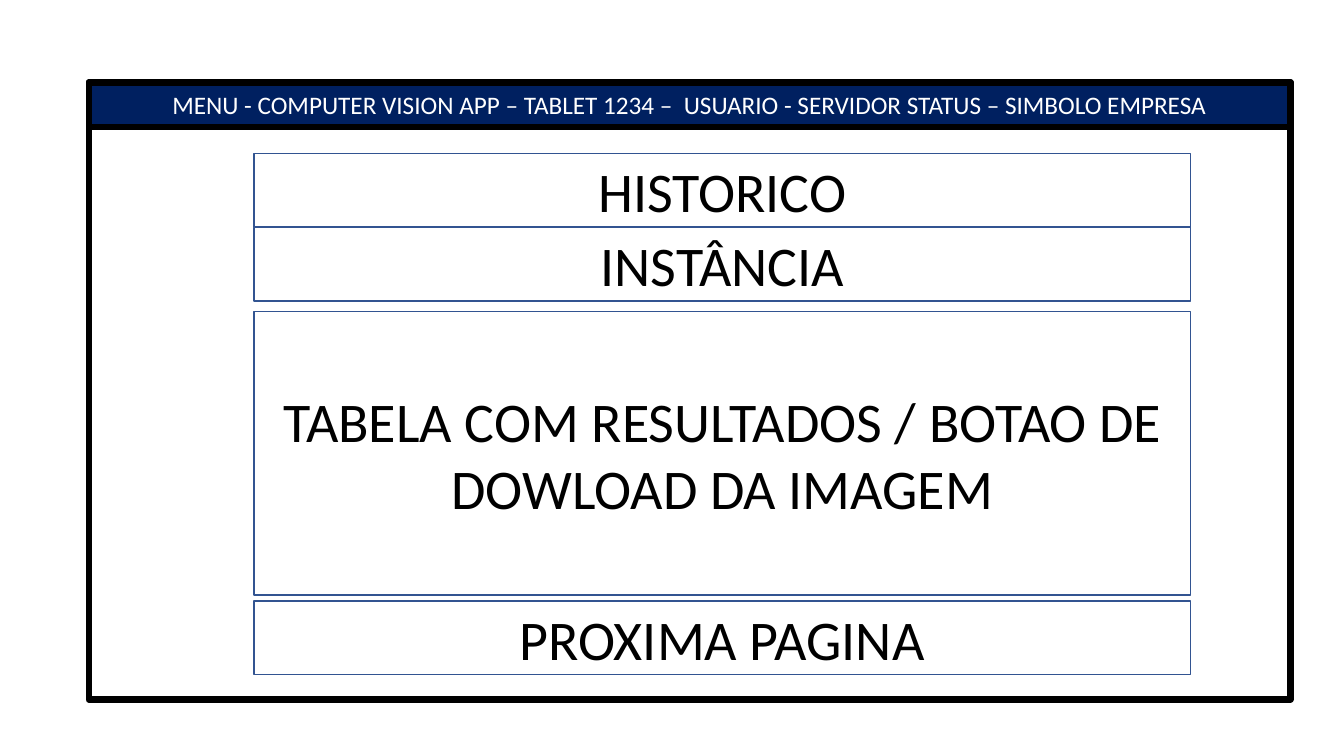
from pptx import Presentation
from pptx.dml.color import RGBColor
from pptx.enum.shapes import MSO_SHAPE as Shape
from pptx.enum.text import MSO_ANCHOR as Anchor, PP_ALIGN as Align
from pptx.util import Inches, Pt


def color(hex_string):
    return RGBColor.from_string(hex_string)


class Wireframe:
    """Style and current slide; lengths are percentages of the slide's size."""
    FONT = "Calibri"
    BLACK, WHITE, NAVY, BLUE = "000000", "FFFFFF", "002060", "325491"

    def __init__(self, presentation):
        self.slide = presentation.slides.add_slide(presentation.slide_layouts[6])
        self.column = presentation.slide_width / 100
        self.row = presentation.slide_height / 100

    def box(self, left, top, width, height, line, weight, fill=None):
        shape = self.slide.shapes.add_shape(
            Shape.RECTANGLE,
            round(left * self.column), round(top * self.row),
            round(width * self.column), round(height * self.row))
        shape.shadow.inherit = False
        shape.line.color.rgb = color(line)
        shape.line.width = Pt(weight)
        if fill:
            shape.fill.solid()
            shape.fill.fore_color.rgb = color(fill)
        else:
            shape.fill.background()
        return shape

    def label(self, shape, text, size, font_color):
        frame = shape.text_frame
        frame.word_wrap = True
        frame.vertical_anchor = Anchor.MIDDLE
        paragraph = frame.paragraphs[0]
        paragraph.text = text
        paragraph.alignment = Align.CENTER
        paragraph.font.name = self.FONT
        paragraph.font.size = Pt(size)
        paragraph.font.color.rgb = color(font_color)

    def frame(self, left, top, width, height, fill=None):
        return self.box(left, top, width, height, self.BLACK, 4.5, fill)

    def menu_bar(self, left, top, width, height, text):
        bar = self.frame(left, top, width, height, self.NAVY)
        self.label(bar, text, 18, self.WHITE)

    def section(self, left, top, width, height, text):
        panel = self.box(left, top, width, height, self.BLUE, 1)
        self.label(panel, text, 40, self.BLACK)


presentation = Presentation()
presentation.slide_width = Inches(13.33)
presentation.slide_height = Inches(7.5)
wireframe = Wireframe(presentation)

# Tablet screen with its menu bar
SCREEN_LEFT, SCREEN_TOP, SCREEN_WIDTH = 6.6, 10.93, 89.42
wireframe.frame(SCREEN_LEFT, SCREEN_TOP, SCREEN_WIDTH, 81.6)
wireframe.menu_bar(
    SCREEN_LEFT, SCREEN_TOP, SCREEN_WIDTH, 5.87,
    "MENU - COMPUTER VISION APP – TABLET 1234 –  USUARIO - "
    "SERVIDOR STATUS – SIMBOLO EMPRESA")

# Stacked page sections: text, height, gap below
SECTION_LEFT, SECTION_WIDTH = 18.9, 69.69
ROW_HEIGHT = 9.75
SECTIONS = [
    ("HISTORICO", ROW_HEIGHT, 0),
    ("INSTÂNCIA", ROW_HEIGHT, 1.4),
    ("TABELA COM RESULTADOS / BOTAO DE DOWLOAD DA IMAGEM", 37.5, 0.8),
    ("PROXIMA PAGINA", ROW_HEIGHT, 0),
]
top = 20.3
for text, height, gap in SECTIONS:
    wireframe.section(SECTION_LEFT, top, SECTION_WIDTH, height, text)
    top += height + gap

presentation.save("out.pptx")
